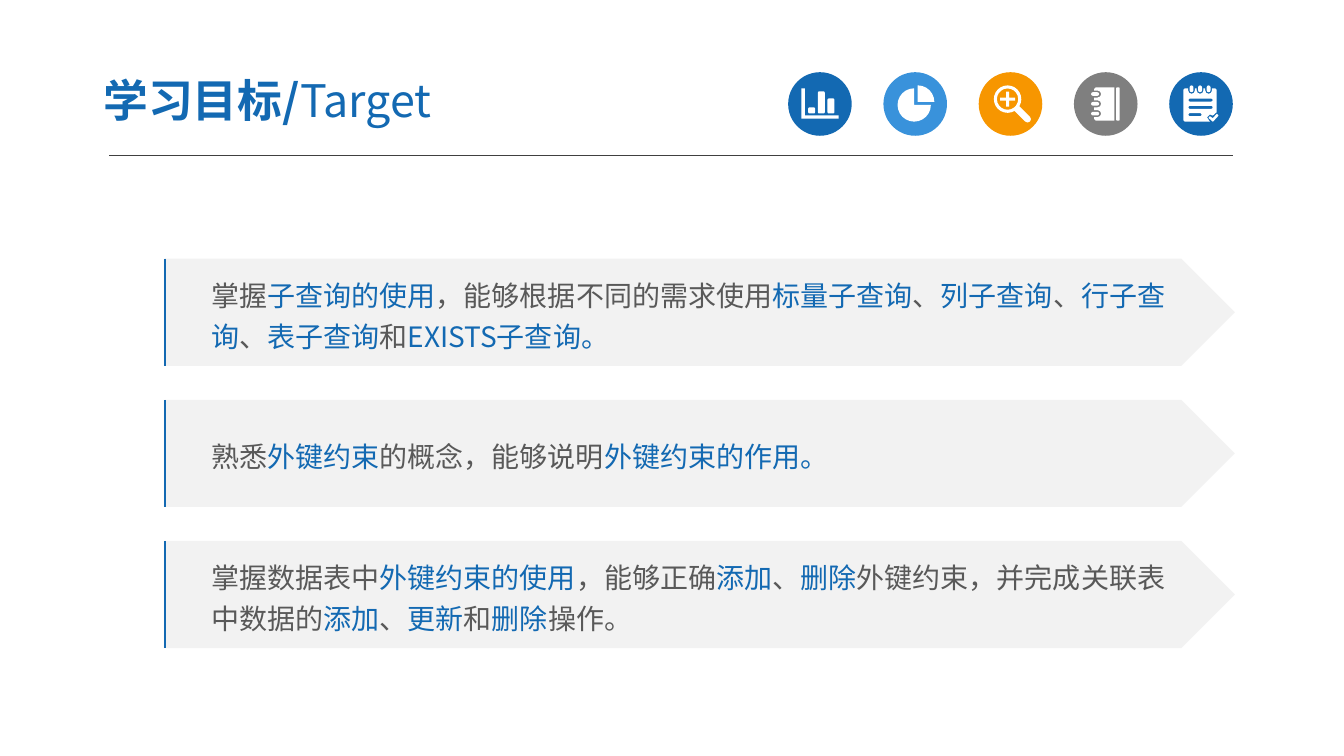
from math import cos, radians, sin

from lxml import etree
from pptx import Presentation
from pptx.dml.color import RGBColor
from pptx.enum import shapes, text
from pptx.oxml.ns import qn
from pptx.util import Pt

BLUE = RGBColor(0x13, 0x69, 0xB2)
SKY = RGBColor(0x39, 0x92, 0xDB)
ORANGE = RGBColor(0xF7, 0x96, 0x00)
GRAY = RGBColor(0x7F, 0x7F, 0x7F)
INK = RGBColor(0x59, 0x59, 0x59)
PALE = RGBColor(0xF2, 0xF2, 0xF2)
WHITE = RGBColor(0xFF, 0xFF, 0xFF)
RULE = RGBColor(0x40, 0x40, 0x40)

FONT = "Noto Sans CJK SC"
FORM = shapes.MSO_SHAPE

# Each goal is a list of lines; text between asterisks is highlighted.
GOALS = [
    ["掌握*子查询的使用*，能够根据不同的需求使用*标量子查询*、*列子查询*、*行子查*",
     "*询*、*表子查询*和*EXISTS子查询。*"],
    ["熟悉*外键约束*的概念，能够说明*外键约束的作用。*"],
    ["掌握数据表中*外键约束的使用*，能够正确*添加*、*删除*外键约束，并完成关联表",
     "中数据的*添加*、*更新*和*删除*操作。"],
]
GOAL_LEFT, GOAL_TOP, GOAL_PITCH = 117, 184.8, 100.8
GOAL_WIDTH, GOAL_HEIGHT = 765, 76.5
ICON_LEFT, ICON_TOP, ICON_PITCH, ICON_SIZE = 563, 51.6, 68.05, 45.4


def add_span(para, words, size=20, color=INK, bold=False):
    span = para.add_run()
    span.text = words
    span.font.name = FONT
    span.font.size = Pt(size)
    span.font.bold = bold
    span.font.color.rgb = color
    east_asian = etree.SubElement(span.font._element, qn("a:ea"))
    east_asian.set("typeface", FONT)


def paint(box, color):
    box.shadow.inherit = False
    box.fill.solid()
    box.fill.fore_color.rgb = color
    box.line.fill.background()


def add_form(parent, form, left, top, width, height, color):
    box = parent.add_shape(form, Pt(left), Pt(top), Pt(width), Pt(height))
    paint(box, color)
    return box


def add_line(parent, x1, y1, x2, y2, color, weight):
    line = parent.add_connector(
        shapes.MSO_CONNECTOR.STRAIGHT, Pt(x1), Pt(y1), Pt(x2), Pt(y2))
    line.line.color.rgb = color
    line.line.width = Pt(weight)
    etree.SubElement(line._element.spPr, qn("a:effectLst"))


def arc(x, y, radius, start, end, steps=4):
    """Points on a circle, with angles in degrees clockwise from the right."""
    angles = [radians(start + (end - start) * step / steps) for step in range(steps + 1)]
    return [(x + radius * cos(angle), y + radius * sin(angle)) for angle in angles]


def rounded(left, top, width, height, radius):
    right, bottom = left + width - radius, top + height - radius
    left, top = left + radius, top + radius
    corners = [(right, bottom), (left, bottom), (left, top), (right, top)]
    return [point for index, (x, y) in enumerate(corners)
            for point in arc(x, y, radius, 90 * index, 90 * index + 90, 2)]


def bars_glyph():
    axis = [(9.4, 11.5), (12, 11.5), (12, 30.8), (36, 30.8), (36, 33.2), (9.4, 33.2)]
    return [axis] + [rounded(14.3 + 6.9 * index, 29.5 - height, 5, height, 1)
                     for index, height in enumerate((4.4, 15.8, 10.8))]


def pie_glyph():
    return [[(22, 23.4)] + arc(22, 23.4, 11.9, 0, 270, 18),
            [(24.5, 21.3)] + arc(24.5, 21.3, 11.9, 270, 360, 6)]


def magnifier_glyph():
    lens_x, lens_y = 20.6, 19.2
    handle = arc(34.9, 33.5, 2.4, -45, 135)
    plus = [(-1.1, -5.4), (1.1, -5.4), (1.1, -1.1), (5.4, -1.1), (5.4, 1.1), (1.1, 1.1),
            (1.1, 5.4), (-1.1, 5.4), (-1.1, 1.1), (-5.4, 1.1), (-5.4, -1.1), (-1.1, -1.1)]
    return [arc(lens_x, lens_y, 9.8, 59, 391, 22) + handle,
            arc(lens_x, lens_y, 7.6, 0, 360, 20),
            [(lens_x + x, lens_y + y) for x, y in plus]]


def notebook_glyph():
    middles = [15.6 + 7 * index for index in range(3)]
    notches = [point for y in middles
               for point in [(14.4, y - 2.5)] + arc(16.9, y, 2.5, -90, 90) + [(14.4, y + 2.5)]]
    cover = [(28.8, 34.6), (28.8, 10.8), (15.6, 10.8), (14.4, 12)]
    return [cover + notches + [(14.4, 33.4), (15.6, 34.6)],
            rounded(30.2, 10.8, 2.4, 23.8, 0.6),
            *[rounded(12.2, y - 1.3, 5.8, 2.6, 1.3) for y in middles]]


def checklist_glyph():
    rings = [15.9 + 6.1 * index for index in range(3)]
    notches = [point for x in rings
               for point in [(x - 2.4, 11.5)] + arc(x, 13, 2.4, 180, 0) + [(x + 2.4, 11.5)]]
    sheet = [(10, 12.5), (11, 11.5)] + notches + [
        (32.8, 11.5), (33.8, 12.5), (33.8, 28.6), (31.1, 31), (29, 30.2),
        (27, 32.2), (29, 35.3), (11, 35.3), (10, 34.3)]
    tick = [(28, 32.6), (29, 31.4), (31.1, 32.8), (34, 29.6), (35.2, 31), (31.2, 35.4)]
    return [sheet, tick, *[rounded(x - 1.4, 9.4, 2.8, 4.9, 1.4) for x in rings],
            *[rounded(13.7, 18.8 + 5.2 * index, width, 2.2, 1.1)
              for index, width in enumerate((17.3, 17.3, 9.4))]]


def add_glyph(parent, left, top, contours):
    """Draw all contours as one white shape; inner contours become holes."""
    placed = [[(Pt(left + x), Pt(top + y)) for x, y in contour] for contour in contours]
    builder = parent.build_freeform(*placed[0][0])
    for index, (start, *rest) in enumerate(placed):
        if index:
            builder.move_to(*start)
        builder.add_line_segments(rest, close=True)
    paint(builder.convert_to_shape(), WHITE)


def add_icons(page):
    icons = [(BLUE, bars_glyph), (SKY, pie_glyph), (ORANGE, magnifier_glyph),
             (GRAY, notebook_glyph), (BLUE, checklist_glyph)]
    for index, (color, glyph) in enumerate(icons):
        left = ICON_LEFT + ICON_PITCH * index
        icon = page.shapes.add_group_shape().shapes
        add_form(icon, FORM.OVAL, left, ICON_TOP, ICON_SIZE, ICON_SIZE, color)
        add_glyph(icon, left, ICON_TOP, glyph())


def add_title(page):
    title = page.shapes.title
    title.left, title.top, title.width, title.height = Pt(64.4), Pt(45.4), Pt(376), Pt(51.8)
    frame = title.text_frame
    frame.auto_size = text.MSO_AUTO_SIZE.NONE
    frame.vertical_anchor = text.MSO_ANCHOR.MIDDLE
    frame.margin_left = frame.margin_right = Pt(9.4)
    frame.margin_top = frame.margin_bottom = Pt(5)
    para = frame.paragraphs[0]
    para.alignment = text.PP_ALIGN.LEFT
    add_span(para, "学习目标/", size=32, color=BLUE, bold=True)
    add_span(para, "Target", size=32, color=BLUE)


def add_goal(page, top, lines):
    goal = page.shapes.add_group_shape().shapes
    box = add_form(goal, FORM.PENTAGON, GOAL_LEFT, top, GOAL_WIDTH, GOAL_HEIGHT, PALE)
    frame = box.text_frame
    frame.word_wrap = True
    frame.vertical_anchor = text.MSO_ANCHOR.MIDDLE
    frame.margin_left = Pt(34)
    for index, line in enumerate(lines):
        para = frame.add_paragraph() if index else frame.paragraphs[0]
        para.alignment = text.PP_ALIGN.LEFT
        para.line_spacing = 1.2
        for position, words in enumerate(line.split("*")):
            if words:
                add_span(para, words, color=BLUE if position % 2 else INK)
    edge = GOAL_LEFT + 0.6
    add_line(goal, edge, top, edge, top + GOAL_HEIGHT, BLUE, 1.5)


def main():
    deck = Presentation()
    deck.slide_width, deck.slide_height = Pt(960), Pt(540)
    page = deck.slides.add_slide(deck.slide_layouts[5])
    add_line(page.shapes, 78, 111.3, 880.6, 111.3, RULE, 0.75)
    add_icons(page)
    add_title(page)
    for index, lines in enumerate(GOALS):
        add_goal(page, GOAL_TOP + GOAL_PITCH * index, lines)
    deck.save("out.pptx")


if __name__ == "__main__":
    main()
